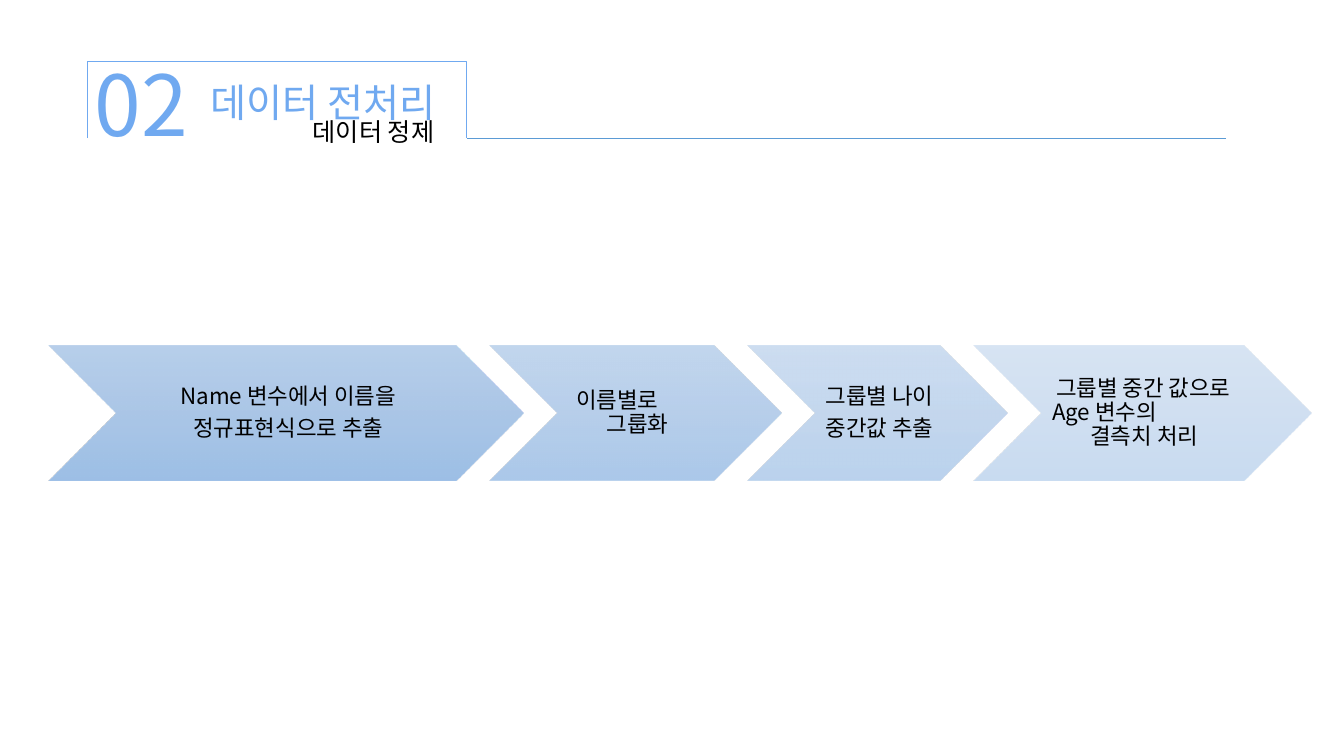
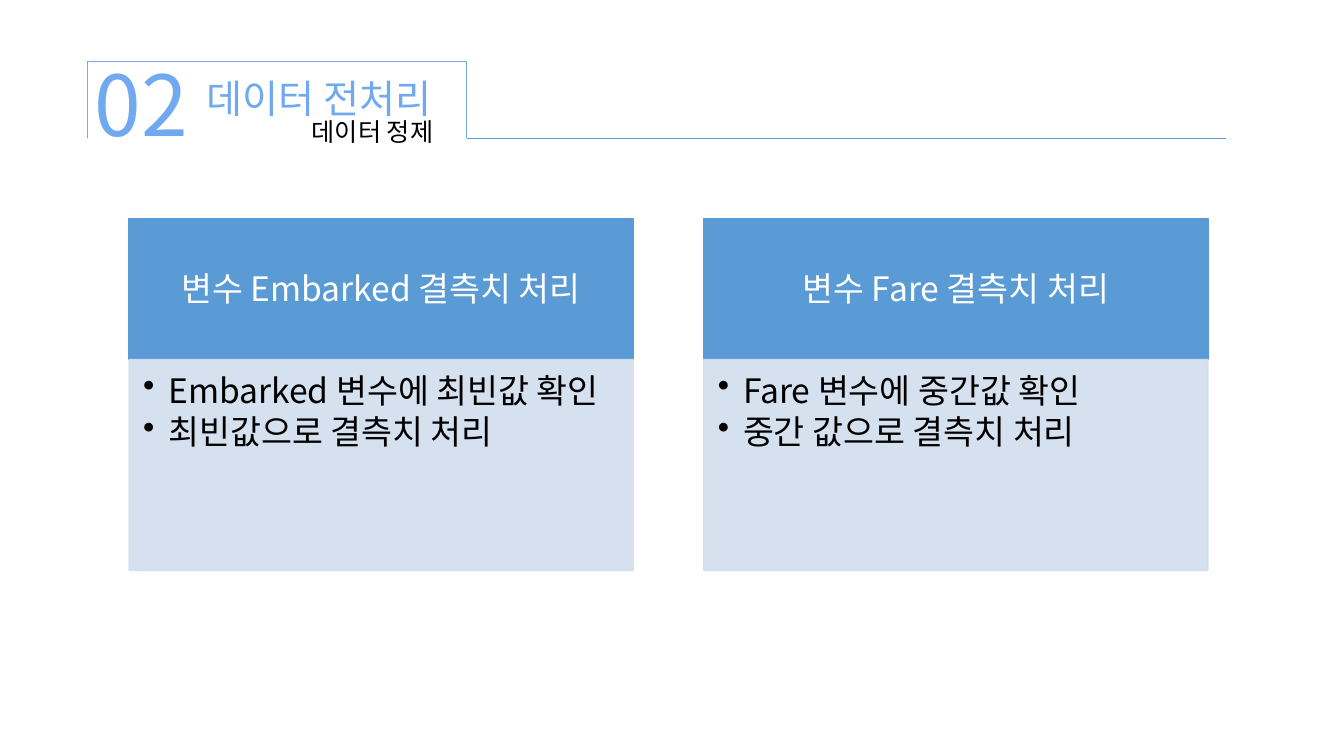
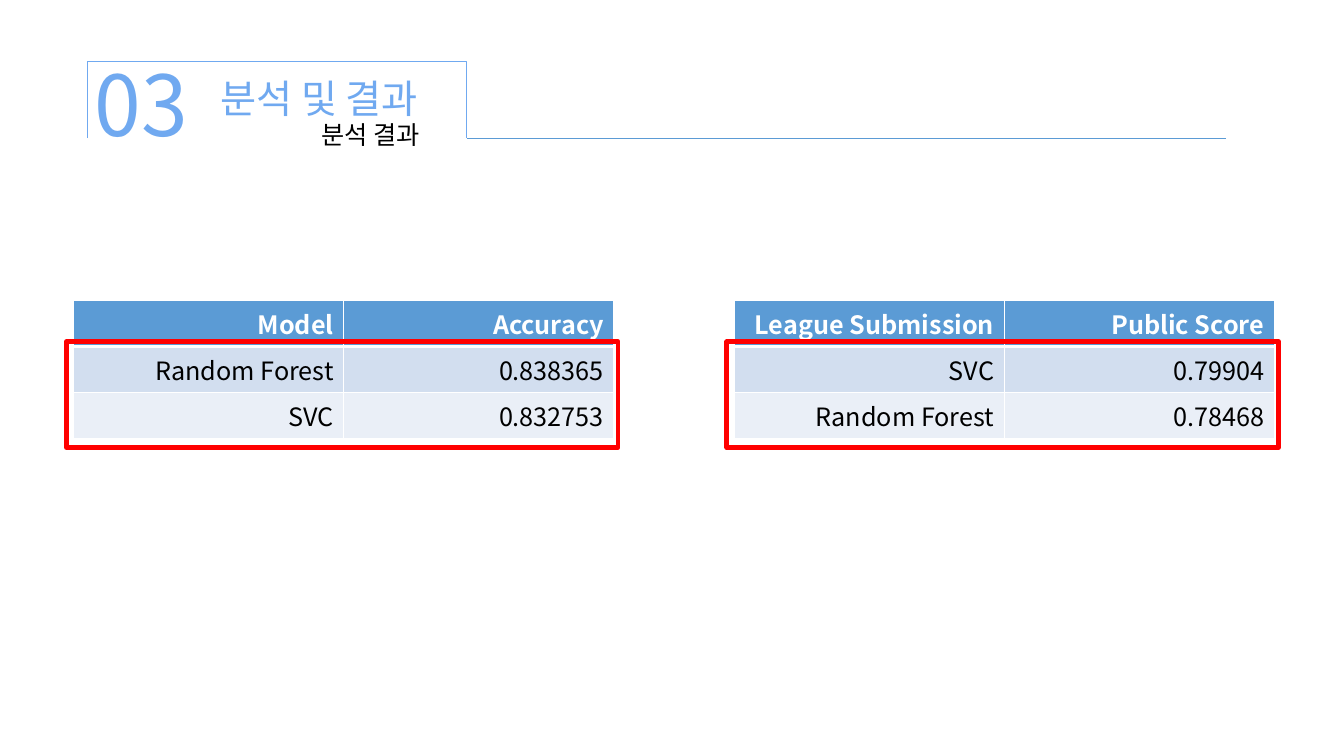
import dataclasses

import pptx
import pptx.dml.color
import pptx.enum.shapes
import pptx.enum.text
import pptx.oxml
import pptx.oxml.ns
import pptx.util

SLIDE_W, SLIDE_H = 13.33, 7.5
FONT = "Noto Sans CJK KR"
ACCENT, BLUE, PALE, PALER = "70A9F0", "5B9BD5", "D2DEEF", "EAEFF7"
BLACK, WHITE, RED = "000000", "FFFFFF", "FF0000"
CHEVRON_GRADIENT = [(0, "B1CBE9"), (50, "A3C1E5"), (100, "93B9E4")]

SHAPES = pptx.enum.shapes.MSO_SHAPE
ALIGN = pptx.enum.text.PP_ALIGN
ANCHOR = pptx.enum.text.MSO_ANCHOR
inch, pt = pptx.util.Inches, pptx.util.Pt


@dataclasses.dataclass
class Box:
    """A region of the slide, in inches."""
    left: float
    top: float
    width: float
    height: float

    def emu(self):
        """Return the four lengths in the form add_shape takes."""
        return [inch(v) for v in (self.left, self.top, self.width, self.height)]

    def columns(self, count, gap):
        """Split the box into equal columns."""
        width = (self.width - gap * (count - 1)) / count
        return [Box(self.left + i * (width + gap), self.top, width, self.height)
                for i in range(count)]

    def cut(self, share):
        """Split the box into an upper and a lower part."""
        upper = self.height * share
        return (Box(self.left, self.top, self.width, upper),
                Box(self.left, self.top + upper, self.width, self.height - upper))


def rgb(value):
    """Turn a hex string into a colour."""
    return pptx.dml.color.RGBColor.from_string(value)


def element(xml):
    """Build a drawing element from a tag with its attributes and children."""
    namespace = pptx.oxml.ns.nsdecls("a")
    name, rest = xml[1:].split(" ", 1)
    return pptx.oxml.parse_xml(f"<{name} {namespace} {rest}")


def set_alpha(color_format, percent):
    """Make a solid colour partly transparent."""
    fill = color_format._xFill
    fill[0].append(element(f'<a:alpha val="{percent * 1000}"/>'))


def add_run(paragraph, text, size, color, bold=False):
    """Add one run in the shared font."""
    run = paragraph.add_run()
    run.text = text
    run.font.size, run.font.bold = pt(size), bold
    run.font.color.rgb = rgb(color)
    run.font.name = FONT
    run._r.get_or_add_rPr().append(element(f'<a:ea typeface="{FONT}"/>'))


def add_text(slide, box, lines, size, color, leading, align=ALIGN.CENTER,
             anchor=ANCHOR.TOP, insets=(0.1, 0.05, 0.1, 0.05), gap=0,
             bullet=False):
    """Add a text box; a line is a text, or a text with its left indent."""
    frame = slide.shapes.add_textbox(*box.emu()).text_frame
    frame.word_wrap, frame.vertical_anchor = True, anchor
    (frame.margin_left, frame.margin_top,
     frame.margin_right, frame.margin_bottom) = [inch(v) for v in insets]
    for i, line in enumerate(lines):
        paragraph = frame.add_paragraph() if i else frame.paragraphs[0]
        text, indent = (line, None) if isinstance(line, str) else line
        paragraph.alignment = align if indent is None else ALIGN.LEFT
        paragraph.line_spacing, paragraph.space_after = pt(leading), pt(gap)
        properties = paragraph._p.get_or_add_pPr()
        if indent is not None:
            properties.set("marL", str(inch(indent)))
        if bullet:
            properties.set("marL", str(inch(0.25)))
            properties.set("indent", str(inch(-0.25)))
            properties.append(element('<a:buChar char="•"/>'))
        add_run(paragraph, text, size, color)


def add_shape(slide, kind, box, fill=None, line=None, weight=1, alpha=None):
    """Add a preset shape with a flat fill and line, or without them."""
    shape = slide.shapes.add_shape(kind, *box.emu())
    shape.shadow.inherit = False
    if fill:
        shape.fill.solid()
        shape.fill.fore_color.rgb = rgb(fill)
    else:
        shape.fill.background()
    if line:
        shape.line.color.rgb = rgb(line)
        shape.line.width = pt(weight)
    else:
        shape.line.fill.background()
    if alpha:
        for color in shape._element.spPr.iter(pptx.oxml.ns.qn("a:srgbClr")):
            color.append(element(f'<a:alpha val="{alpha * 1000}"/>'))
    return shape


def add_header(slide, number, title, subtitle, title_box, subtitle_box):
    """Draw the section number, both titles, their bracket and the rule."""
    bracket = add_shape(slide, SHAPES.RIGHT_BRACKET, Box(2.37, -0.89, 0.76, 3.76),
                        line=ACCENT, weight=0.5)
    bracket.rotation = 270
    bracket.adjustments[0] = 0
    rule = slide.shapes.add_connector(
        pptx.enum.shapes.MSO_CONNECTOR.STRAIGHT,
        inch(4.63), inch(1.37), inch(12.16), inch(1.37))
    rule.line.color.rgb, rule.line.width = rgb(BLUE), pt(0.5)
    rule._element.spPr.append(element("<a:effectLst />"))
    add_text(slide, subtitle_box, [subtitle], 18, BLACK, 22)
    add_text(slide, title_box, [title], 28, ACCENT, 36)
    add_text(slide, Box(0.84, 0.22, 2, 1.31), [number], 60, ACCENT, 90,
             align=ALIGN.LEFT)


def add_chevron(slide, box, lines, alpha):
    """Draw one step: a translucent gradient chevron with its text."""
    chevron = add_shape(slide, SHAPES.CHEVRON, box)
    stops = "".join(
        f'<a:gs pos="{pos * 1000}"><a:srgbClr val="{color}">'
        f'<a:alpha val="{alpha * 1000}"/></a:srgbClr></a:gs>'
        for pos, color in CHEVRON_GRADIENT)
    properties = chevron._element.spPr
    properties.replace(
        properties.find(pptx.oxml.ns.qn("a:noFill")),
        element(f'<a:gradFill rotWithShape="1"><a:gsLst>{stops}</a:gsLst>'
                '<a:lin ang="5400000" scaled="0"/></a:gradFill>'))
    inner = Box(box.left + box.height / 2, box.top,
                box.width - box.height, box.height)
    indented = not isinstance(lines[0], str)
    add_text(slide, inner, lines, 16, BLACK, 17, anchor=ANCHOR.MIDDLE,
             insets=(0.07, 0.02, 0.02, 0.02), gap=0 if indented else 5.6)


def add_process(slide, box, steps):
    """Draw a row of chevrons, each reaching into the one before."""
    left = box.left
    for i, (width, lines) in enumerate(steps):
        alpha = round(90 - 40 * i / (len(steps) - 1))
        add_chevron(slide, Box(left, box.top, width, box.height), lines, alpha)
        left += width - box.height / 4


def add_panel(slide, box, heading, points):
    """Draw a panel with a heading band and bullet points."""
    band, body = box.cut(0.4)
    add_shape(slide, SHAPES.RECTANGLE, band, BLUE, BLUE)
    add_text(slide, band, [heading], 24, WHITE, 28, anchor=ANCHOR.MIDDLE,
             insets=(0.19, 0.11, 0.19, 0.11))
    add_shape(slide, SHAPES.RECTANGLE, body, PALE, PALE, alpha=90)
    add_text(slide, body, points, 24, BLACK, 26, align=ALIGN.LEFT,
             insets=(0.14, 0.14, 0.19, 0.21), gap=3.6, bullet=True)


def style_cell(cell, text, row):
    """Fill one table cell and give it white borders."""
    is_header = row == 0
    cell.fill.solid()
    cell.fill.fore_color.rgb = rgb((BLUE, PALE, PALER)[row])
    properties = cell._tc.get_or_add_tcPr()
    for i, side in enumerate("LRTB"):
        thick = (is_header and side == "B") or (row == 1 and side == "T")
        properties.insert(i, element(
            f'<a:ln{side} w="{pt(3 if thick else 1)}"><a:solidFill>'
            f'<a:srgbClr val="{WHITE}"/></a:solidFill></a:ln{side}>'))
    paragraph = cell.text_frame.paragraphs[0]
    paragraph.alignment = ALIGN.RIGHT
    add_run(paragraph, text, 18, WHITE if is_header else BLACK, is_header)


def add_scores(slide, box, rows):
    """Draw a score table with a red frame around its values."""
    table = slide.shapes.add_table(len(rows), len(rows[0]), *box.emu()).table
    for r, row in enumerate(rows):
        for c, text in enumerate(row):
            style_cell(table.cell(r, c), text, r)
    frame = Box(box.left - 0.07, box.top + 0.41, box.width + 0.11, 1.05)
    add_shape(slide, SHAPES.RECTANGLE, frame, line=RED, weight=3.5)


def build_grouping(slide):
    """Build the slide on filling ages by name group."""
    add_header(slide, "02", "데이터 전처리", "데이터 정제",
               Box(1.92, 0.69, 2.57, 0.57), Box(2.4, 1.1, 2.61, 0.4))
    add_process(slide, Box(0.48, 3.43, 12.52, 1.34), [
        (4.71, ["Name 변수에서 이름을", "정규표현식으로 추출"]),
        (2.89, [("이름별로", 0.12), ("그룹화", 0.42)]),
        (2.58, ["그룹별 나이", "중간값 추출"]),
        (3.35, [("그룹별 중간 값으로", 0.08), ("Age 변수의", 0.04),
                ("결측치 처리", 0.42)]),
    ])


def build_missing_values(slide):
    """Build the slide on the two variables with missing values."""
    panels = [
        ("변수 Embarked 결측치 처리",
         ["Embarked 변수에 최빈값 확인", "최빈값으로 결측치 처리"]),
        ("변수 Fare 결측치 처리",
         ["Fare 변수에 중간값 확인", "중간 값으로 결측치 처리"]),
    ]
    area = Box(1.28, 2.17, 10.7, 3.49)
    for box, (heading, points) in zip(area.columns(2, 0.7), panels):
        add_panel(slide, box, heading, points)
    add_header(slide, "02", "데이터 전처리", "데이터 정제",
               Box(1.9, 0.66, 2.53, 0.57), Box(2.41, 1.1, 2.57, 0.4))


def build_results(slide):
    """Build the slide with the model scores."""
    add_header(slide, "03", "분석 및 결과", "분석 결과",
               Box(2.03, 0.66, 2.27, 0.57), Box(2.17, 1.13, 3.01, 0.4))
    tables = [
        [("Model", "Accuracy"), ("Random Forest", "0.838365"),
         ("SVC", "0.832753")],
        [("League Submission", "Public Score"), ("SVC", "0.79904"),
         ("Random Forest", "0.78468")],
    ]
    area = Box(0.73, 2.98, 11.91, 1.37)
    for box, rows in zip(area.columns(2, 1.19), tables):
        add_scores(slide, box, rows)


def main():
    """Build and save the presentation."""
    deck = pptx.Presentation()
    deck.slide_width, deck.slide_height = inch(SLIDE_W), inch(SLIDE_H)
    blank = deck.slide_layouts[6]
    for build in (build_grouping, build_missing_values, build_results):
        build(deck.slides.add_slide(blank))
    deck.save("out.pptx")


main()
